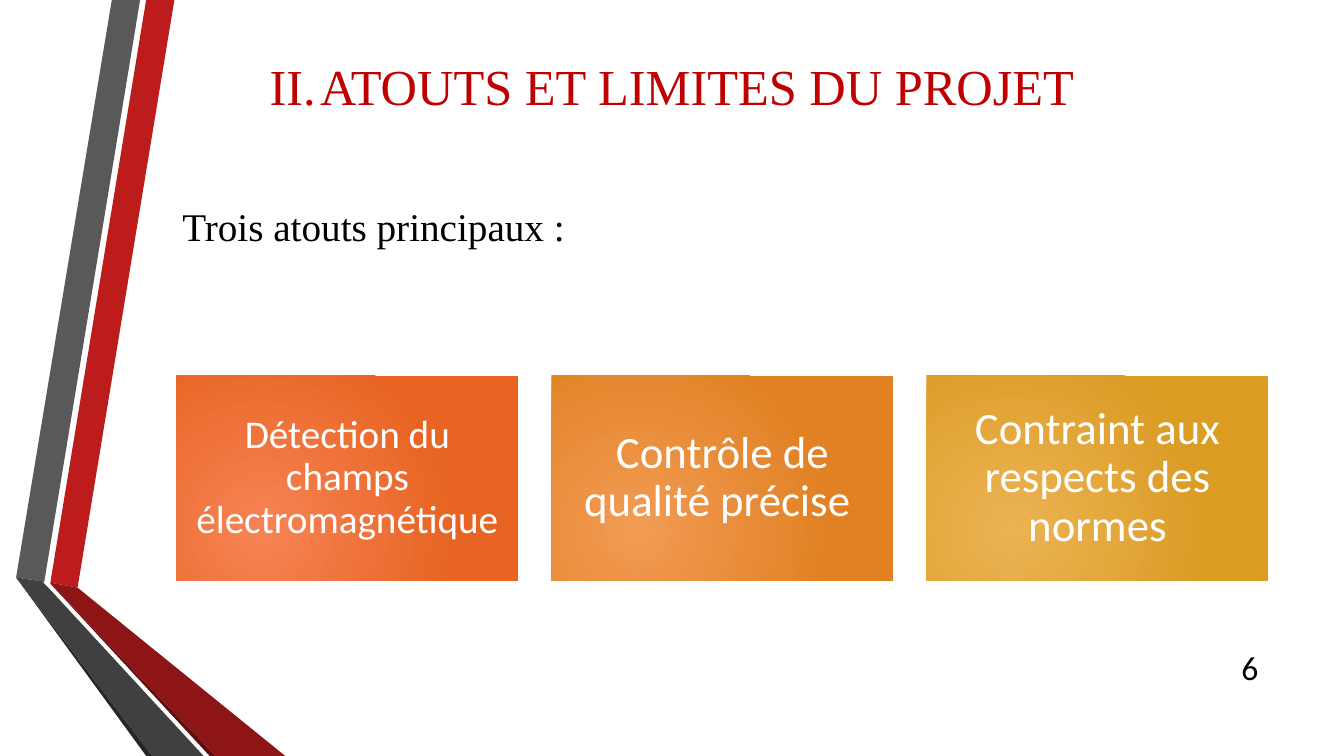
from lxml import etree
from pptx import Presentation
from pptx.dml.color import RGBColor
from pptx.enum.shapes import MSO_SHAPE
from pptx.enum.text import MSO_ANCHOR, PP_ALIGN
from pptx.oxml import parse_xml
from pptx.oxml.ns import nsdecls, qn
from pptx.util import Inches, Pt

SERIF, SANS = "Times New Roman", "Calibri"

# Outlines in hundredths of an inch, from back to front
RIBBONS = [
    ("BC1C1C", [(50, 578), (77, 583), (173, 0), (145, 0)]),
    ("595959", [(139, 0), (111, 0), (16, 573), (44, 577)]),
    ("262626", [(16, 573), (145, 750), (151, 750)]),
    ("5E0E0E", [(50, 579), (208, 750), (214, 750)]),
    ("8D1515", [(50, 579), (214, 750), (283, 750), (77, 583), (50, 578)]),
    ("404040", [(202, 750), (48, 583), (43, 578), (44, 577), (16, 573), (151, 750)]),
]

# Text, size, inset, inner colour, outer colour
STRENGTHS = [
    ("Détection du champs électromagnétique", 28, 0.12, "F78354", "E76422"),
    ("Contrôle de qualité précise ", 32, 0.13, "F19B54", "E18123"),
    ("Contraint aux respects des normes", 32, 0.13, "ECB354", "DB9C24"),
]


def color(hex_value):
    return RGBColor.from_string(hex_value)


def write_text(shape, text, size, font, hex_value, align, anchor=MSO_ANCHOR.MIDDLE):
    frame = shape.text_frame
    frame.word_wrap = True
    frame.vertical_anchor = anchor
    paragraph = frame.paragraphs[0]
    paragraph.text = text
    paragraph.alignment = align
    paragraph.font.size = Pt(size)
    paragraph.font.name = font
    paragraph.font.color.rgb = color(hex_value)
    return paragraph


def add_text(slide, left, top, width, height, *style):
    box = slide.shapes.add_textbox(*map(Inches, (left, top, width, height)))
    return write_text(box, *style)


def add_ribbons(slide):
    for hex_value, points in RIBBONS:
        builder = slide.shapes.build_freeform(*points[0], scale=Inches(0.01))
        builder.add_line_segments(points[1:], close=True)
        ribbon = builder.convert_to_shape()
        ribbon.shadow.inherit = False
        ribbon.fill.solid()
        ribbon.fill.fore_color.rgb = color(hex_value)
        ribbon.line.fill.background()


def add_title(slide, left, top, width, height):
    paragraph = add_text(slide, left, top, width, height,
                         "II.\tATOUTS ET LIMITES DU PROJET", 36, SERIF, "C00000",
                         PP_ALIGN.CENTER)
    tabs = etree.Element(qn("a:tabLst"))
    etree.SubElement(tabs, qn("a:tab"), pos=str(Inches(0.5)), algn="l")
    paragraph._p.get_or_add_pPr().insert(0, tabs)


def fill_radial(shape, inner, outer):
    """Fill the shape with a circular gradient centred low on the left."""
    shape.fill.background()
    gradient = parse_xml(
        f'<a:gradFill {nsdecls("a")} rotWithShape="1"><a:gsLst>'
        f'<a:gs pos="0"><a:srgbClr val="{inner}"/></a:gs>'
        f'<a:gs pos="100000"><a:srgbClr val="{outer}"/></a:gs></a:gsLst>'
        '<a:path path="circle">'
        '<a:fillToRect l="50000" t="100000" r="100000" b="50000"/>'
        '</a:path></a:gradFill>')
    properties = shape._element.spPr
    properties.replace(properties.find(qn("a:noFill")), gradient)


def add_strengths(slide, left, top, width, height, gap=0.33):
    card_width = (width - gap * (len(STRENGTHS) - 1)) / len(STRENGTHS)
    for index, (text, size, inset, inner, outer) in enumerate(STRENGTHS):
        card = slide.shapes.add_shape(
            MSO_SHAPE.RECTANGLE, Inches(left + index * (card_width + gap)),
            Inches(top), Inches(card_width), Inches(height))
        card.shadow.inherit = False
        card.line.fill.background()
        fill_radial(card, inner, outer)
        paragraph = write_text(card, text, size, SANS, "FFFFFF", PP_ALIGN.CENTER)
        paragraph.line_spacing = 0.9
        frame = card.text_frame
        frame.margin_left = frame.margin_right = Inches(inset)
        frame.margin_top = frame.margin_bottom = Inches(inset)


def main():
    presentation = Presentation()
    presentation.slide_width = Inches(13.33)
    presentation.slide_height = Inches(7.5)
    slide = presentation.slides.add_slide(presentation.slide_layouts[6])
    add_ribbons(slide)
    add_title(slide, 1.25, 0.4, 10.83, 0.89)
    add_strengths(slide, 1.75, 3.73, 10.83, 2.03)
    add_text(slide, 11.98, 6.42, 0.6, 0.4, "6", 24, SANS, "000000", PP_ALIGN.RIGHT)
    add_text(slide, 1.71, 1.96, 7.52, 0.57, "Trois atouts principaux :", 28, SERIF,
             "000000", PP_ALIGN.LEFT, MSO_ANCHOR.TOP)
    presentation.save("out.pptx")


if __name__ == "__main__":
    main()
